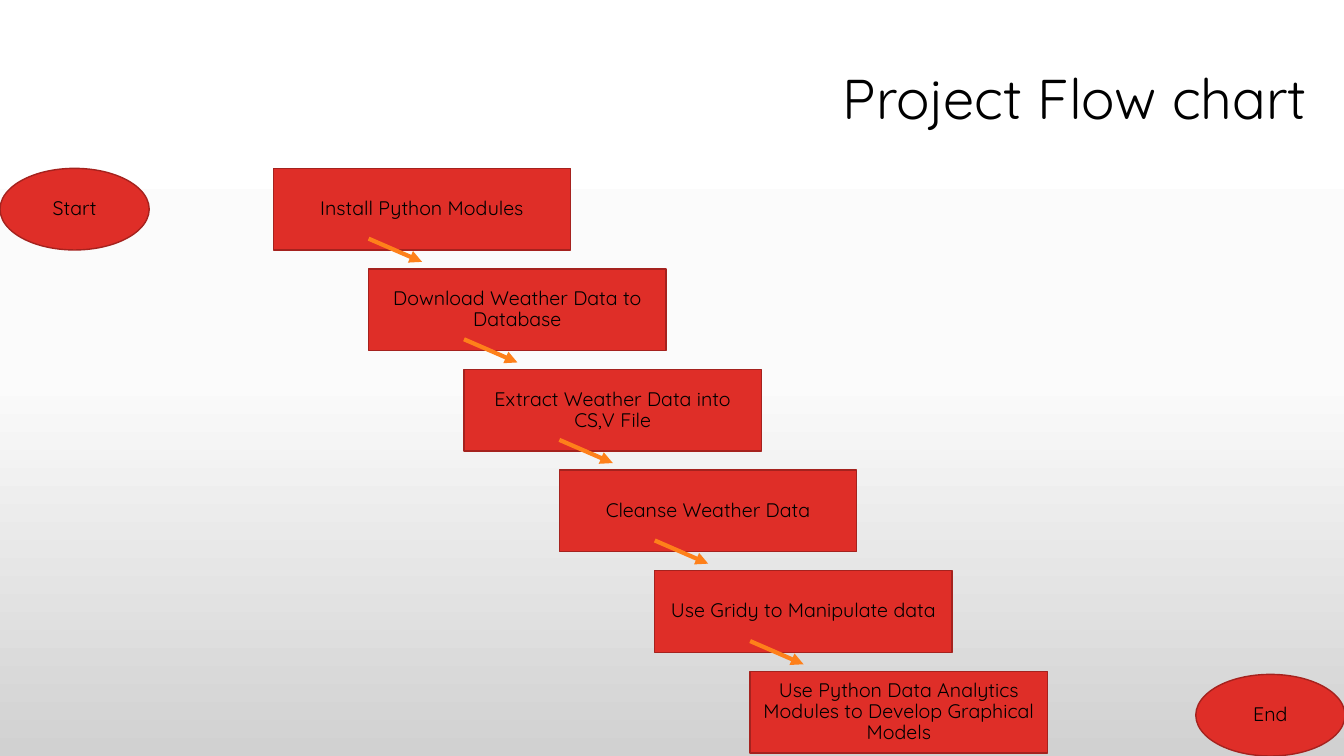
import copy

from lxml import etree
from pptx import Presentation
from pptx import util as u
from pptx.dml.color import RGBColor
from pptx.enum import shapes, text
from pptx.oxml.ns import qn


def colour(value):
    return RGBColor.from_string(value)


class FlowPage:
    """Holds the style and the current slide."""
    font = "Quicksand"
    ink, red, dark_red, orange = "000000", "DF2E28", "A5221E", "FE801A"

    def __init__(self, deck):
        self.page = deck.slides.add_slide(deck.slide_layouts[5])

    def background(self, stops):
        fill = self.page.background.fill
        fill.gradient()
        fill.gradient_angle = 270
        stop_list = self.page.background._cSld.find(".//" + qn("a:gsLst"))
        while len(stop_list) < len(stops):
            stop_list.append(copy.deepcopy(stop_list[0]))
        for stop, (position, value) in zip(fill.gradient_stops, stops):
            stop.position = position
            stop.color.rgb = colour(value)

    def style(self, para, size, align):
        para.alignment = align
        para.font.name = self.font
        para.font.size = u.Pt(size)
        para.font.color.rgb = colour(self.ink)

    def title(self, words, left, top, width, height):
        box = self.page.shapes.title
        box.left, box.top = u.Inches(left), u.Inches(top)
        box.width, box.height = u.Inches(width), u.Inches(height)
        frame = box.text_frame
        frame.text = words
        frame.word_wrap = True
        frame.auto_size = text.MSO_AUTO_SIZE.SHAPE_TO_FIT_TEXT
        frame.vertical_anchor = text.MSO_ANCHOR.TOP
        self.style(frame.paragraphs[0], 40, text.PP_ALIGN.LEFT)

    def node(self, kind, words, left, top, width, height=0.81):
        box = self.page.shapes.add_shape(
            kind, u.Inches(left), u.Inches(top), u.Inches(width), u.Inches(height))
        box.shadow.inherit = False
        box.fill.solid()
        box.fill.fore_color.rgb = colour(self.red)
        box.line.color.rgb = colour(self.dark_red)
        box.line.width = u.Pt(1)
        frame = box.text_frame
        frame.text = words
        frame.word_wrap = True
        frame.vertical_anchor = text.MSO_ANCHOR.MIDDLE
        para = frame.paragraphs[0]
        para.line_spacing = 0.9
        para.space_after = u.Pt(6)
        self.style(para, 14, text.PP_ALIGN.CENTER)

    def arrow(self, left, top, width, height):
        line = self.page.shapes.add_connector(
            shapes.MSO_CONNECTOR.STRAIGHT, u.Inches(left), u.Inches(top),
            u.Inches(left + width), u.Inches(top + height))
        line.line.color.rgb = colour(self.orange)
        line.line.width = u.Pt(3)
        etree.SubElement(line.line._get_or_add_ln(), qn("a:tailEnd"), type="triangle")
        etree.SubElement(line._element.spPr, qn("a:effectLst"))


def main():
    deck = Presentation()
    deck.slide_width, deck.slide_height = u.Inches(13.33), u.Inches(7.5)
    flow = FlowPage(deck)

    # Background and title
    flow.background([(0, "FFFFFF"), (0.5, "FBFBFB"), (1, "D1D1D1")])
    flow.title("Project Flow chart", 8.26, 0.58, 5.1, 0.77)

    # Start and end
    oval = shapes.MSO_SHAPE.OVAL
    flow.node(oval, "Start", 0, 1.67, 1.48)
    flow.node(oval, "End", 11.86, 6.69, 1.48)

    # Staircase of steps
    steps = [
        "Install Python Modules",
        "Download Weather Data to Database",
        "Extract Weather Data into CS,V File",
        "Cleanse Weather Data",
        "Use Gridy to Manipulate data",
        "Use Python Data Analytics Modules to Develop Graphical Models",
    ]
    gaps = len(steps) - 1
    first_left, first_top = 2.71, 1.67
    step_x, step_y = (7.44 - first_left) / gaps, (6.66 - first_top) / gaps
    corners = [(first_left + i * step_x, first_top + i * step_y)
               for i in range(len(steps))]
    for words, (left, top) in zip(steps, corners):
        flow.node(shapes.MSO_SHAPE.RECTANGLE, words, left, top, 2.95)

    # Arrows into each following step
    for left, top in corners[1:]:
        flow.arrow(left, top - 0.3, 0.53, 0.23)

    deck.save("out.pptx")


if __name__ == "__main__":
    main()
